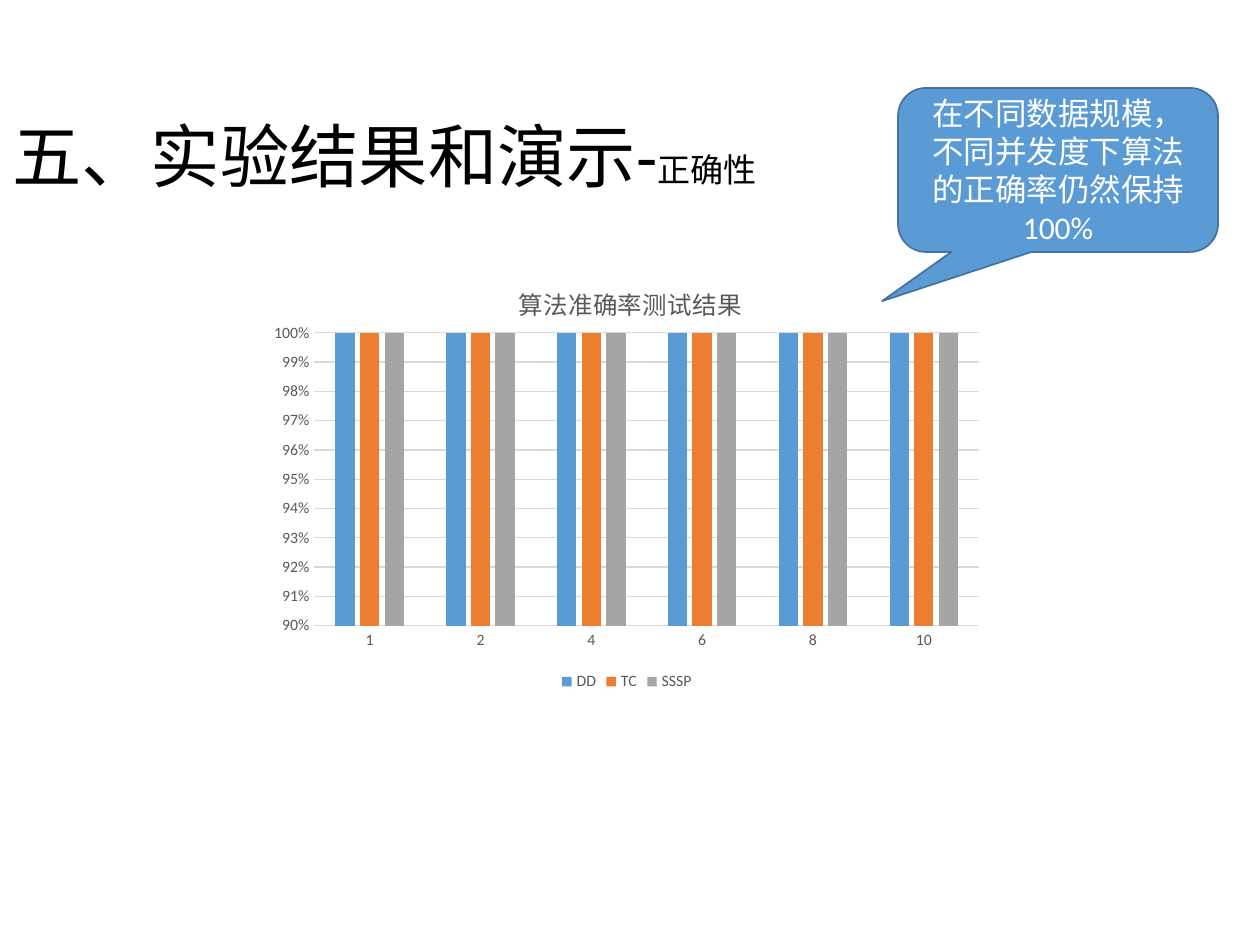
"""Build the slide on algorithm accuracy, with its chart and callout."""
import dataclasses
import typing

import lxml.etree
import pptx
import pptx.chart.data
import pptx.dml.color
import pptx.enum.chart
import pptx.enum.shapes
import pptx.enum.text
import pptx.oxml.ns
import pptx.util

EMU_PER_PIXEL = 914400 / 126


@dataclasses.dataclass(frozen=True)
class Theme:
    font: str = "Calibri"
    ink: str = "000000"
    muted: str = "595959"
    grid: str = "D9D9D9"
    callout_fill: str = "5B9BD5"
    callout_edge: str = "43739E"
    callout_ink: str = "FFFFFF"
    heading_size: float = 39.6
    topic_size: float = 18.9
    callout_size: float = 18
    chart_title_size: float = 14
    label_size: float = 9


class Box(typing.NamedTuple):
    left: int
    top: int
    width: int
    height: int


class Series(typing.NamedTuple):
    name: str
    color: str


THEME = Theme()
HEADING_BOX = Box(0, 116, 1086, 89)
CHART_BOX = Box(260, 252, 734, 444)
PLOT_BOX = Box(314, 333, 665, 293)
CHART_TITLE_BOX = Box(514, 278, 224, 30)
CALLOUT_BOX = Box(898, 88, 320, 164)
THREADS = ("1", "2", "4", "6", "8", "10")
ALGORITHMS = (Series("DD", "5B9BD5"), Series("TC", "ED7D31"), Series("SSSP", "A5A5A5"))


def px(pixels: float) -> int:
    return round(pixels * EMU_PER_PIXEL)


def place(box: Box) -> list[int]:
    return [px(length) for length in box]


def rgb(color: str) -> pptx.dml.color.RGBColor:
    return pptx.dml.color.RGBColor.from_string(color)


def style_font(font, *, size: float, color: str) -> None:
    font.name = THEME.font
    font.size = pptx.util.Pt(size)
    font.bold = False
    font.color.rgb = rgb(color)


def style_line(line, *, color: str, width: float) -> None:
    line.color.rgb = rgb(color)
    line.width = pptx.util.Pt(width)


def add_text(paragraph, text: str, *, size: float, color: str) -> None:
    run = paragraph.add_run()
    run.text = text
    style_font(run.font, size=size, color=color)


def set_layout(parent, box: Box, *, index: int, inner: bool = False) -> None:
    """Fix a chart part at a place given as shares of the chart area."""
    tag = pptx.oxml.ns.qn
    for old in parent.findall(tag("c:layout")):
        parent.remove(old)
    layout = lxml.etree.Element(tag("c:layout"))
    manual = lxml.etree.SubElement(layout, tag("c:manualLayout"))
    settings = {"layoutTarget": "inner"} if inner else {}
    settings |= {"xMode": "edge", "yMode": "edge"}
    settings["x"] = f"{(box.left - CHART_BOX.left) / CHART_BOX.width:.3f}"
    settings["y"] = f"{(box.top - CHART_BOX.top) / CHART_BOX.height:.3f}"
    if inner:
        settings["w"] = f"{box.width / CHART_BOX.width:.3f}"
        settings["h"] = f"{box.height / CHART_BOX.height:.3f}"
    for name, value in settings.items():
        lxml.etree.SubElement(manual, tag(f"c:{name}")).set("val", value)
    parent.insert(index, layout)


def add_heading(slide) -> None:
    frame = slide.shapes.add_textbox(*place(HEADING_BOX)).text_frame
    frame.word_wrap = True
    frame.vertical_anchor = pptx.enum.text.MSO_ANCHOR.MIDDLE
    heading = frame.paragraphs[0]
    heading.line_spacing = 0.9
    add_text(heading, "五、实验结果和演示-", size=THEME.heading_size, color=THEME.ink)
    add_text(heading, "正确性", size=THEME.topic_size, color=THEME.ink)


def style_axis(axis) -> None:
    axis.major_tick_mark = pptx.enum.chart.XL_TICK_MARK.NONE
    axis.minor_tick_mark = pptx.enum.chart.XL_TICK_MARK.NONE
    style_font(axis.tick_labels.font, size=THEME.label_size, color=THEME.muted)


def add_accuracy_chart(slide) -> None:
    accuracy = pptx.chart.data.CategoryChartData(number_format="0%")
    accuracy.categories = THREADS
    for algorithm in ALGORITHMS:
        accuracy.add_series(algorithm.name, [1] * len(THREADS))
    chart = slide.shapes.add_chart(
        pptx.enum.chart.XL_CHART_TYPE.COLUMN_CLUSTERED, *place(CHART_BOX), accuracy
    ).chart
    style_font(chart.font, size=10, color=THEME.ink)

    chart.has_title = True
    title = chart.chart_title
    add_text(title.text_frame.paragraphs[0], "算法准确率测试结果",
             size=THEME.chart_title_size, color=THEME.muted)
    title.include_in_layout = False
    set_layout(title.format._element if hasattr(title.format, "_element") else title._element,
               CHART_TITLE_BOX, index=1)

    chart.has_legend = True
    chart.legend.position = pptx.enum.chart.XL_LEGEND_POSITION.BOTTOM
    chart.legend.include_in_layout = False
    style_font(chart.legend.font, size=THEME.label_size, color=THEME.muted)

    for axis in (chart.category_axis, chart.value_axis):
        style_axis(axis)
    style_line(chart.category_axis.format.line, color=THEME.grid, width=0.75)
    percent = chart.value_axis
    percent.minimum_scale, percent.maximum_scale, percent.major_unit = 0.9, 1, 0.01
    percent.tick_labels.number_format = "0%"
    percent.tick_labels.number_format_is_linked = False
    percent.format.line.fill.background()
    style_line(percent.major_gridlines.format.line, color=THEME.grid, width=0.75)

    columns = chart.plots[0]
    columns.gap_width, columns.overlap = 219, -27
    columns.vary_by_categories = False
    for series, algorithm in zip(columns.series, ALGORITHMS):
        series.format.fill.solid()
        series.format.fill.fore_color.rgb = rgb(algorithm.color)
    plot_area = chart._chartSpace.chart.plotArea
    set_layout(plot_area, PLOT_BOX, index=0, inner=True)


def add_callout(slide) -> None:
    callout = slide.shapes.add_shape(
        pptx.enum.shapes.MSO_SHAPE.ROUNDED_RECTANGULAR_CALLOUT, *place(CALLOUT_BOX)
    )
    for index, value in enumerate((-0.55, 0.8, 0.17)):
        callout.adjustments[index] = value
    callout.shadow.inherit = False
    callout.fill.solid()
    callout.fill.fore_color.rgb = rgb(THEME.callout_fill)
    style_line(callout.line, color=THEME.callout_edge, width=1)
    frame = callout.text_frame
    frame.word_wrap = True
    frame.vertical_anchor = pptx.enum.text.MSO_ANCHOR.MIDDLE
    finding = frame.paragraphs[0]
    finding.alignment = pptx.enum.text.PP_ALIGN.CENTER
    add_text(finding, "在不同数据规模，不同并发度下算法的正确率仍然保持100%",
             size=THEME.callout_size, color=THEME.callout_ink)


def main() -> None:
    deck = pptx.Presentation()
    deck.slide_width, deck.slide_height = px(1260), px(945)
    slide = deck.slides.add_slide(deck.slide_layouts[6])
    add_heading(slide)
    add_accuracy_chart(slide)
    add_callout(slide)
    deck.save("out.pptx")


main()
